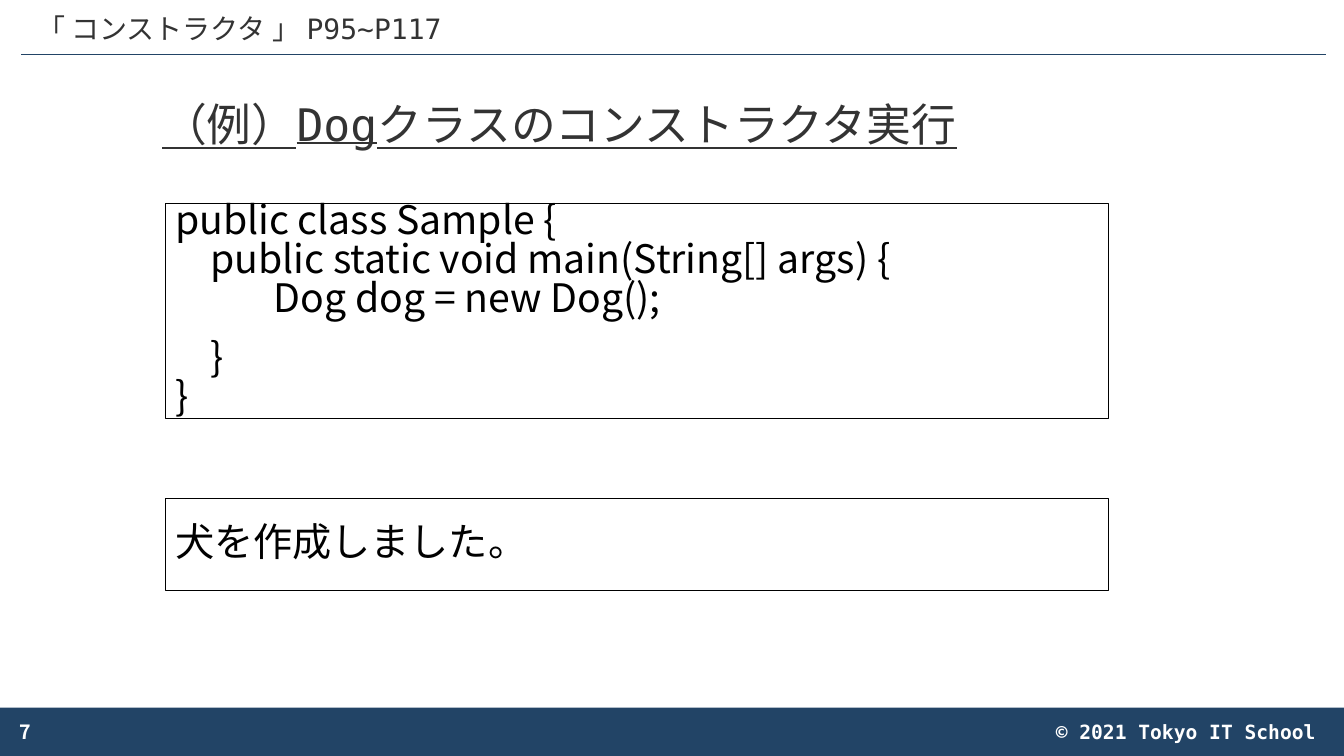
from lxml import etree
from pptx import Presentation
from pptx.dml.color import RGBColor
from pptx.enum.shapes import MSO_CONNECTOR, MSO_SHAPE
from pptx.enum.text import MSO_ANCHOR, PP_ALIGN
from pptx.oxml.ns import qn
from pptx.util import Inches, Pt

RECT = MSO_SHAPE.RECTANGLE
LINE = MSO_CONNECTOR.STRAIGHT
TOP, MIDDLE, BOTTOM = MSO_ANCHOR.TOP, MSO_ANCHOR.MIDDLE, MSO_ANCHOR.BOTTOM
LEFT, CENTER, RIGHT = PP_ALIGN.LEFT, PP_ALIGN.CENTER, PP_ALIGN.RIGHT
JUSTIFY = PP_ALIGN.JUSTIFY
MONO, SANS = "DejaVu Sans Mono", "Noto Sans CJK JP"
NAVY, GRAY, WHITE, BLACK = "224466", "333333", "FFFFFF", "000000"
STEP = Pt(14)
CODE = [
    ("public class Sample {", 0),
    ("    public static void main(String[] args) {", 1),
    ("\t\tDog dog = new Dog();", 1),
    ("    }", 2),
    ("}", 1),
]


def color(code):
    return RGBColor.from_string(code)


def style(para, face, size, tint, bold=False, under=False):
    font = para.font
    font.name, font.size = face, Pt(size)
    font.color.rgb = color(tint)
    font.bold, font.underline = bold, under


def add_tabs(para):
    tabs = etree.SubElement(para._p.get_or_add_pPr(), qn("a:tabLst"))
    for stop in (0.49, 0.98):
        etree.SubElement(tabs, qn("a:tab"), pos=str(Inches(stop)), algn="l")


def add_label(slide, area, text, face, size, tint, align=LEFT,
              anchor=MIDDLE, space=1.0, bold=False, under=False):
    frame = slide.shapes.add_textbox(*map(Inches, area)).text_frame
    frame.word_wrap = True
    frame.vertical_anchor = anchor
    para = frame.paragraphs[0]
    para.text = text
    para.alignment = align
    para.line_spacing = space
    style(para, face, size, tint, bold, under)


def add_rect(slide, area):
    shape = slide.shapes.add_shape(RECT, *map(Inches, area))
    shape.shadow.inherit = False
    return shape


def add_bar(slide):
    bar = add_rect(slide, (0, 7.02, 13.34, 0.48))
    bar.fill.solid()
    bar.fill.fore_color.rgb = color(NAVY)
    bar.line.fill.background()


def add_rule(slide):
    ends = map(Inches, (0.21, 0.54, 13.16, 0.54))
    rule = slide.shapes.add_connector(LINE, *ends)
    rule.line.color.rgb = color(NAVY)
    rule.line.width = Pt(0.5)
    etree.SubElement(rule._element.spPr, qn("a:effectLst"))


def add_panel(slide, top, height, rows):
    panel = add_rect(slide, (1.64, top, 9.36, height))
    panel.fill.background()
    panel.line.color.rgb = color(BLACK)
    panel.line.width = Pt(0.75)
    frame = panel.text_frame
    frame.word_wrap = True
    frame.vertical_anchor = MIDDLE
    frame.margin_top = Inches(0.05) + STEP
    for index, (text, gap) in enumerate(rows):
        para = frame.add_paragraph() if index else frame.paragraphs[0]
        para.text = text
        para.alignment = JUSTIFY
        add_tabs(para)
        para.line_spacing = STEP
        para.space_before = STEP * gap
        style(para, SANS, 28, BLACK)


def main():
    deck = Presentation()
    deck.slide_width, deck.slide_height = Inches(13.34), Inches(7.5)
    slide = deck.slides.add_slide(deck.slide_layouts[6])
    add_bar(slide)
    add_label(slide, (8.34, 7.09, 4.82, 0.34), "© 2021 Tokyo IT School",
              MONO, 14, WHITE, RIGHT, TOP, bold=True)
    add_rule(slide)
    add_label(slide, (1.51, 0.68, 10.32, 1.16),
              "（例）Dogクラスのコンストラクタ実行",
              MONO, 32, GRAY, space=0.9, under=True)
    add_label(slide, (0.1, 7.06, 3, 0.4), "7", SANS, 14, WHITE, bold=True)
    add_panel(slide, 2.02, 2.13, CODE)
    add_panel(slide, 4.95, 0.91, [("犬を作成しました。", 0)])
    add_label(slide, (0, -0.04, 4.75, 0.54),
              "「 コンストラクタ 」 P95~P117",
              MONO, 20, GRAY, CENTER, BOTTOM, 0.9)
    deck.save("out.pptx")


if __name__ == "__main__":
    main()
